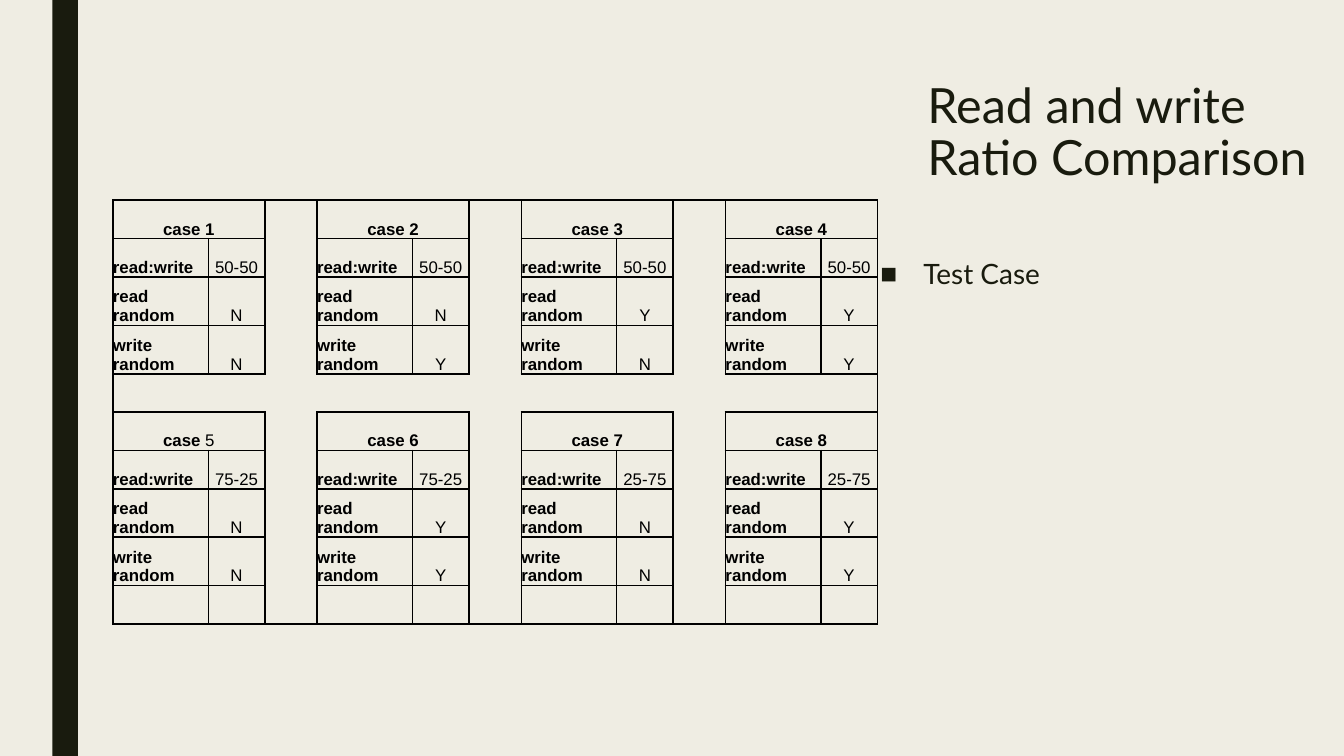
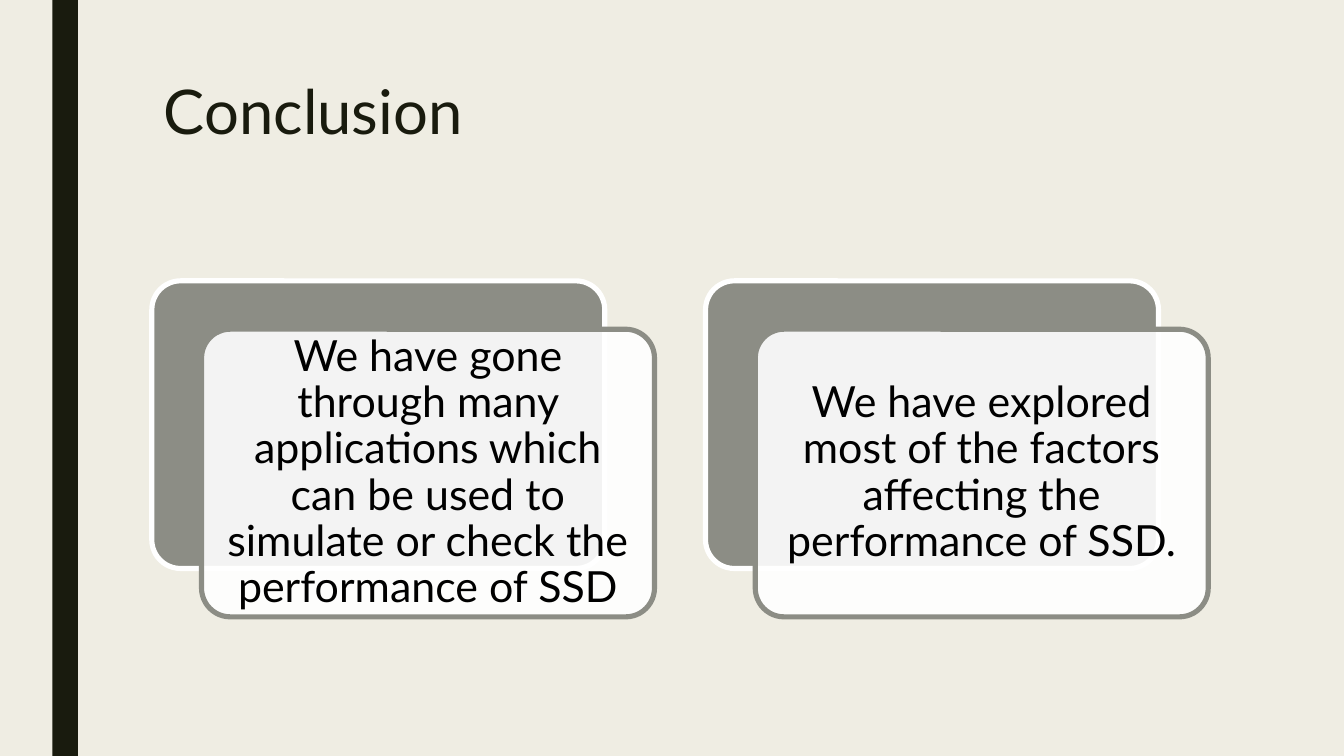
from dataclasses import dataclass
from typing import NamedTuple

from lxml import etree
from pptx import Presentation
from pptx import util as u
from pptx.dml.color import RGBColor
from pptx.enum import shapes, text
from pptx.oxml import ns

# Shared scale, colours and fonts
PX = 9144  # EMU in one px, 100 px to the inch
INK = RGBColor(0x19, 0x1B, 0x0E)
PAPER = RGBColor(0xEF, 0xED, 0xE3)
STONE = RGBColor(0x8C, 0x8D, 0x85)
WHITE = RGBColor(0xFF, 0xFF, 0xFF)
BLACK = RGBColor(0x00, 0x00, 0x00)
HEAD_FONT = "Lato"
TABLE_FONT = "Arial"

# A 16:9 page with a dark band down its whole height
SLIDE_WIDTH = u.Emu(1000 * PX)
SLIDE_HEIGHT = u.Emu(SLIDE_WIDTH * 9 // 16)
BAND_LEFT, BAND_WIDTH = u.Emu(39 * PX), u.Emu(19 * PX)


class Rect(NamedTuple):
    left: int
    top: int
    width: int
    height: int

    def emu(self) -> list[u.Emu]:
        return [u.Emu(length * PX) for length in self]

    def shifted(self, right: int, down: int = 0) -> "Rect":
        return Rect(self.left + right, self.top + down, self.width, self.height)


@dataclass(frozen=True)
class Case:
    number: int
    ratio: str
    read_random: str
    write_random: str
    bold_number: bool = True


# Test case table: four cases across, two down
CASES = [
    Case(1, "50-50", "N", "N"),
    Case(2, "50-50", "N", "Y"),
    Case(3, "50-50", "Y", "N"),
    Case(4, "50-50", "Y", "Y"),
    Case(5, "75-25", "N", "N", bold_number=False),
    Case(6, "75-25", "Y", "Y"),
    Case(7, "25-75", "N", "N"),
    Case(8, "25-75", "Y", "Y"),
]
CASES_ACROSS = 4
COLUMN_WIDTHS = ([71, 42, 39] * CASES_ACROSS)[:-1]
ROW_HEIGHTS = [20, 20, 36, 36, 21] * 2
GAP_ROW, GAP_COLUMN = 4, 2
TABLE = Rect(84, 149, sum(COLUMN_WIDTHS), sum(ROW_HEIGHTS))

# Conclusion cards
CARD = Rect(113, 209, 337, 214)
CARD_STEP = 412
CARD_OFFSET = (37, 36)
CARD_TEXT = Rect(156, 251, 325, 202)
CONCLUSIONS = [
    "We have gone through many applications which can be used to simulate "
    "or check the performance of SSD",
    "We have explored most of the factors affecting the performance of SSD.",
]


def add_run(para, words: str, size: float, font: str, color: RGBColor,
            bold: bool = False) -> None:
    span = para.add_run()
    span.text = words
    span.font.size = u.Pt(size)
    span.font.name = font
    span.font.color.rgb = color
    span.font.bold = bold


def set_frame(box, area: Rect, anchor, inset_y: int = 5):
    """Place a text-bearing shape and return its first paragraph."""
    box.left, box.top, box.width, box.height = area.emu()
    frame = box.text_frame
    frame.word_wrap = True
    frame.auto_size = text.MSO_AUTO_SIZE.NONE
    frame.vertical_anchor = anchor
    frame.margin_left = frame.margin_right = u.Emu(10 * PX)
    frame.margin_top = frame.margin_bottom = u.Emu(inset_y * PX)
    return frame.paragraphs[0]


def add_page(deck, layout: int, title: str, area: Rect, size: float):
    """Start a page with the background, side band and title."""
    page = deck.slides.add_slide(deck.slide_layouts[layout])
    page.background.fill.solid()
    page.background.fill.fore_color.rgb = PAPER
    band = page.shapes.add_shape(shapes.MSO_SHAPE.RECTANGLE, BAND_LEFT, 0,
                                 BAND_WIDTH, SLIDE_HEIGHT)
    band.shadow.inherit = False
    band.fill.solid()
    band.fill.fore_color.rgb = INK
    band.line.fill.background()
    para = set_frame(page.shapes.title, area, text.MSO_ANCHOR.TOP)
    para.alignment = text.PP_ALIGN.LEFT
    para.line_spacing = 0.89
    add_run(para, title, size, HEAD_FONT, INK)
    return page


def add_square_bullet(para, indent: int) -> None:
    props = para._p.get_or_add_pPr()
    props.set("marL", str(indent * PX))
    props.set("indent", str(-indent * PX))
    color = etree.SubElement(props, ns.qn("a:buClr"))
    etree.SubElement(color, ns.qn("a:srgbClr"), val=str(INK))
    etree.SubElement(props, ns.qn("a:buFont"), typeface=TABLE_FONT)
    etree.SubElement(props, ns.qn("a:buChar"), char="■")


# Table cells
def in_block(row: int, column: int) -> bool:
    return row != GAP_ROW and column % 3 != GAP_COLUMN


def in_table(row: int, column: int) -> bool:
    return 0 <= row < len(ROW_HEIGHTS) and 0 <= column < len(COLUMN_WIDTHS)


def is_empty(row: int, column: int) -> bool:
    return row % 5 == GAP_ROW or column % 3 == GAP_COLUMN


def rule_cell(cell, row: int, column: int) -> None:
    """Rule each side that touches a case block or the table's edge."""
    neighbours = {
        "a:lnL": (row, column - 1),
        "a:lnR": (row, column + 1),
        "a:lnT": (row - 1, column),
        "a:lnB": (row + 1, column),
    }
    props = cell._tc.get_or_add_tcPr()
    for tag, spot in neighbours.items():
        line = etree.SubElement(props, ns.qn(tag), w=str(u.Pt(1)))
        if in_block(row, column) or not in_table(*spot) or in_block(*spot):
            fill = etree.SubElement(line, ns.qn("a:solidFill"))
            etree.SubElement(fill, ns.qn("a:srgbClr"), val=str(BLACK))
        else:
            etree.SubElement(line, ns.qn("a:noFill"))


def format_cell(cell, row: int, column: int) -> None:
    rule_cell(cell, row, column)
    cell.fill.background()
    empty = is_empty(row, column)
    if not empty:
        cell.margin_left = cell.margin_right = 0
        cell.margin_top = cell.margin_bottom = 0
        cell.vertical_anchor = text.MSO_ANCHOR.BOTTOM
    # Empty cells keep their margins and set the least row height
    end = etree.SubElement(cell.text_frame.paragraphs[0]._p,
                           ns.qn("a:endParaRPr"),
                           sz="1100" if empty else "900")
    etree.SubElement(end, ns.qn("a:latin"),
                     typeface=HEAD_FONT if empty else TABLE_FONT)


def write_cell(cell, runs: list[tuple[str, bool]], centred: bool) -> None:
    para = cell.text_frame.paragraphs[0]
    para.alignment = text.PP_ALIGN.CENTER if centred else text.PP_ALIGN.LEFT
    for words, bold in runs:
        add_run(para, words, 9, TABLE_FONT, BLACK, bold)


def write_case(table, case: Case, top: int, left: int) -> None:
    header = table.cell(top, left)
    header.merge(table.cell(top, left + 1))
    if case.bold_number:
        runs = [(f"case {case.number}", True)]
    else:
        runs = [("case", True), (f" {case.number}", False)]
    write_cell(header, runs, centred=True)
    lines = [
        ("read:write", case.ratio),
        ("read random", case.read_random),
        ("write random", case.write_random),
    ]
    for row, (label, value) in enumerate(lines, top + 1):
        write_cell(table.cell(row, left), [(label, True)], centred=False)
        write_cell(table.cell(row, left + 1), [(value, False)], centred=True)


def add_case_table(page) -> None:
    table = page.shapes.add_table(
        len(ROW_HEIGHTS), len(COLUMN_WIDTHS), *TABLE.emu()).table
    table.first_row = table.horz_banding = False
    for column, width in zip(table.columns, COLUMN_WIDTHS):
        column.width = u.Emu(width * PX)
    for r, height in enumerate(ROW_HEIGHTS):
        table.rows[r].height = u.Emu(height * PX)
        for c in range(len(COLUMN_WIDTHS)):
            format_cell(table.cell(r, c), r, c)
    for index, case in enumerate(CASES):
        down, across = divmod(index, CASES_ACROSS)
        write_case(table, case, down * 5, across * 3)


# Cards
def add_card(page, area: Rect, fill: RGBColor, line: RGBColor,
             opacity: int = 100) -> None:
    card = page.shapes.add_shape(
        shapes.MSO_SHAPE.ROUNDED_RECTANGLE, *area.emu())
    card.adjustments[0] = 0.1
    card.shadow.inherit = False
    card.fill.solid()
    card.fill.fore_color.rgb = fill
    card.line.color.rgb = line
    card.line.width = u.Pt(2.75)
    if opacity < 100:
        color = card._element.spPr.find(ns.qn("a:solidFill"))[0]
        etree.SubElement(color, ns.qn("a:alpha"), val=str(opacity * 1000))


def add_conclusion(page, words: str, shift: int) -> None:
    back = CARD.shifted(shift)
    add_card(page, back, STONE, WHITE)
    add_card(page, back.shifted(*CARD_OFFSET), WHITE, STONE, opacity=90)
    area = CARD_TEXT.shifted(shift)
    box = page.shapes.add_textbox(*area.emu())
    para = set_frame(box, area, text.MSO_ANCHOR.MIDDLE, inset_y=10)
    para.alignment = text.PP_ALIGN.CENTER
    para.line_spacing = 0.9
    add_run(para, words, 23, HEAD_FONT, BLACK)


# Pages
def build_ratio_page(deck) -> None:
    page = add_page(deck, 1, "Read and write Ratio Comparison",
                    Rect(680, 56, 307, 122), 26)
    para = set_frame(page.placeholders[1], Rect(645, 188, 300, 294),
                     text.MSO_ANCHOR.TOP)
    para.line_spacing = 0.94
    para.space_before = u.Pt(0)
    add_square_bullet(para, 32)
    add_run(para, "Test Case", 15, HEAD_FONT, INK)
    add_case_table(page)


def build_conclusion_page(deck) -> None:
    page = add_page(deck, 5, "Conclusion", Rect(112, 56, 788, 122), 33)
    for index, words in enumerate(CONCLUSIONS):
        add_conclusion(page, words, index * CARD_STEP)


def main() -> None:
    deck = Presentation()
    deck.slide_width, deck.slide_height = SLIDE_WIDTH, SLIDE_HEIGHT
    build_ratio_page(deck)
    build_conclusion_page(deck)
    deck.save("out.pptx")


if __name__ == "__main__":
    main()
